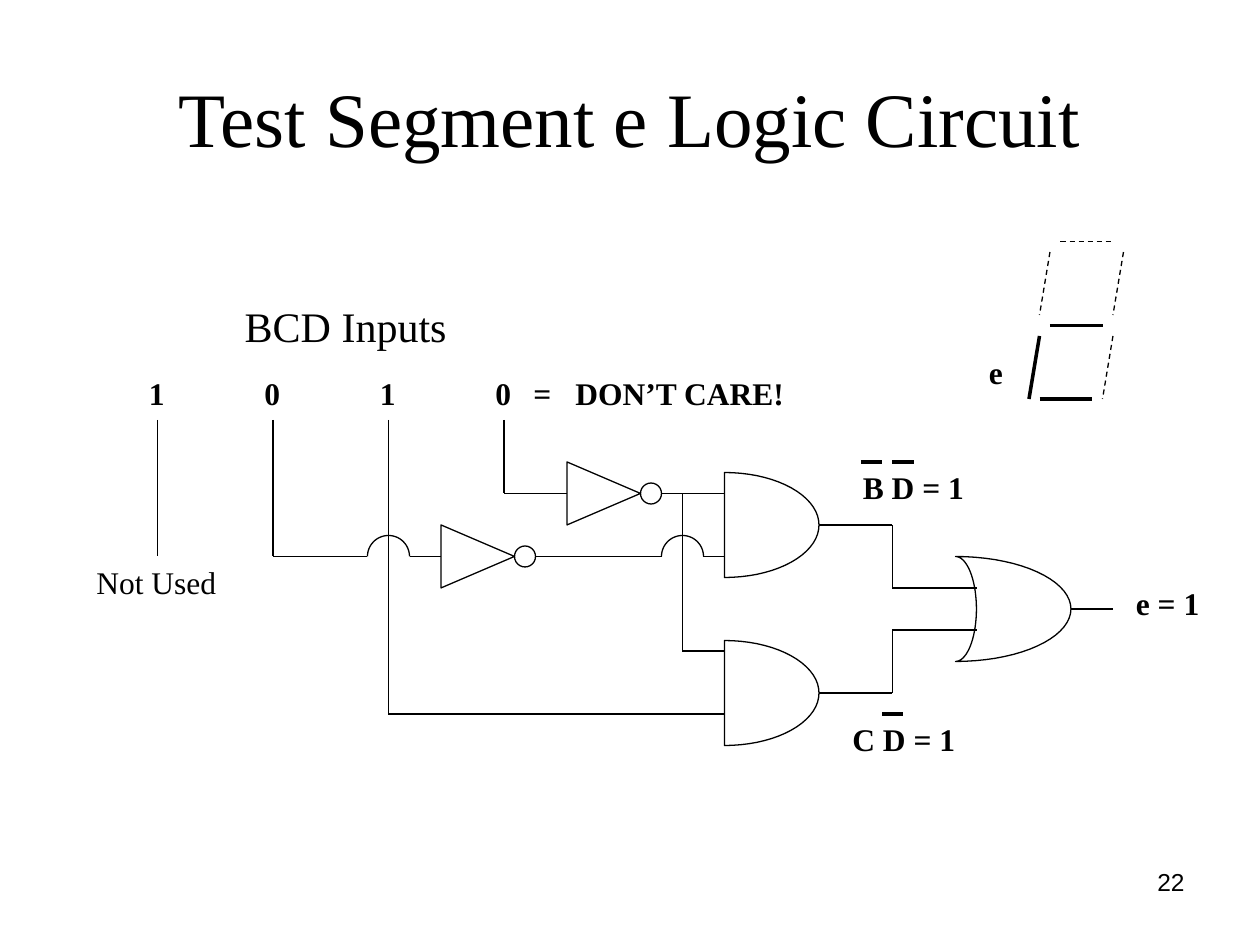
"""Build the slide that tests the logic circuit of segment e."""
import itertools
import math
from dataclasses import dataclass

import lxml.etree
import pptx
import pptx.dml.color
import pptx.enum.dml
import pptx.enum.shapes
import pptx.enum.text
import pptx.oxml.ns
import pptx.util

PX = 9525
WIDTH, HEIGHT = 960, 720


@dataclass(frozen=True)
class Theme:
    ink: pptx.dml.color.RGBColor = pptx.dml.color.RGBColor(0, 0, 0)
    serif: str = "Times New Roman"
    sans: str = "Arial"
    title: int = 44
    heading: int = 24
    label: int = 18
    number: int = 14
    thin: float = 0.75
    thick: float = 2


THEME = Theme()
ALIGN = pptx.enum.text.PP_ALIGN
SHAPE = pptx.enum.shapes.MSO_SHAPE

TITLE = ("Test Segment e Logic Circuit", (48, 29, 864, 120))
NUMBER = ("22", (688, 656, 224, 50))
HEADING = ("BCD Inputs", (177, 224, 173, 48))
NOTE = ("Not Used", (64, 424, 110, 38))
INPUTS = ["1", "0", "1", "0\t=\tDON’T CARE!"]
INPUT_X, INPUT_STEP, INPUT_TOP = 104, 88, 280
INPUT_WIDTHS = [36, 31, 31, 240]
INPUT_TABS = [29, 61]
LABELS = [
    ("e = 1", (856, 440, 67, 38)),
    ("C D = 1", (640, 544, 97, 38)),
    ("B D = 1", (648, 352, 96, 38)),
    ("e", (744, 264, 30, 38)),
]

WIRES = [
    [(120, 320), (120, 424)],
    [(208, 320), (208, 424), (280, 424)],
    [(312, 424), (336, 424)],
    [(408, 424), (504, 424)],
    [(536, 424), (552, 424)],
    [(296, 320), (296, 544), (552, 544)],
    [(384, 320), (384, 376), (432, 376)],
    [(504, 376), (552, 376)],
    [(520, 376), (520, 496), (552, 496)],
    [(624, 400), (680, 400), (680, 448), (744, 448)],
    [(624, 528), (680, 528), (680, 480), (744, 480)],
    [(816, 464), (848, 464)],
]
INVERTERS = [(432, 376), (336, 424)]
INVERTER_LENGTH, INVERTER_HEIGHT, BUBBLE = 56, 48, 16
HOPS, HOP_RADIUS = [(296, 424), (520, 424)], 16
AND_GATES = [(552, 400), (552, 528)]
OR_GATE = (728, 464)
GATE_RADIUS, AND_LENGTH, OR_LENGTH, OR_DEPTH = 40, 72, 88, 16

OVERBARS = [(656, 352), (680, 352), (672, 544)]
OVERBAR_LENGTH = 16
LIT = [
    [(792, 256), (784, 304)],
    [(792, 304), (832, 304)],
    [(800, 248), (840, 248)],
]
UNLIT = [
    [(808, 184), (848, 184)],
    [(856, 192), (848, 240)],
    [(848, 256), (840, 304)],
    [(800, 192), (792, 240)],
]


def px(*lengths):
    return [round(length * PX) for length in lengths]


def write(frame, text, *, size=THEME.label, font=THEME.serif, bold=False,
          align=ALIGN.LEFT, anchor=pptx.enum.text.MSO_ANCHOR.TOP, wrap=False, tabs=()):
    frame.word_wrap = wrap
    frame.auto_size = pptx.enum.text.MSO_AUTO_SIZE.NONE
    frame.vertical_anchor = anchor
    para = frame.paragraphs[0]
    para.alignment = align
    if tabs:
        name = pptx.oxml.ns.qn
        stops = lxml.etree.SubElement(para._p.get_or_add_pPr(), name("a:tabLst"))
        for stop in px(*tabs):
            lxml.etree.SubElement(stops, name("a:tab"), pos=str(stop), algn="l")
    span = para.add_run()
    span.text = text
    span.font.size = pptx.util.Pt(size)
    span.font.name = font
    span.font.bold = bold
    span.font.color.rgb = THEME.ink


def add_label(page, text, place, **style):
    write(page.shapes.add_textbox(*px(*place)).text_frame, text, **style)


def draw_lines(page, points, weight=THEME.thin, dash=None):
    for start, end in itertools.pairwise(points):
        line = page.shapes.add_connector(
            pptx.enum.shapes.MSO_CONNECTOR.STRAIGHT, *px(*start, *end))
        lxml.etree.SubElement(line._element.spPr, pptx.oxml.ns.qn("a:effectLst"))
        line.line.color.rgb = THEME.ink
        line.line.width = pptx.util.Pt(weight)
        if dash:
            line.line.dash_style = dash


def outline(shape):
    shape.shadow.inherit = False
    shape.fill.background()
    shape.line.color.rgb = THEME.ink
    shape.line.width = pptx.util.Pt(THEME.thin)


def arc(center, across, down, start, end, steps=36):
    angles = [math.radians(start + (end - start) * step / steps) for step in range(steps + 1)]
    return [(center[0] + across * math.cos(angle), center[1] + down * math.sin(angle))
            for angle in angles]


def draw_curve(page, points, close=True):
    first, *rest = [px(*point) for point in points]
    builder = page.shapes.build_freeform(*first)
    builder.add_line_segments(rest, close=close)
    outline(builder.convert_to_shape())


def draw_inverter(page, left, middle):
    box_left = left + (INVERTER_LENGTH - INVERTER_HEIGHT) / 2
    triangle = page.shapes.add_shape(SHAPE.ISOSCELES_TRIANGLE, *px(
        box_left, middle - INVERTER_LENGTH / 2, INVERTER_HEIGHT, INVERTER_LENGTH))
    triangle.rotation = 90
    bubble = page.shapes.add_shape(SHAPE.OVAL, *px(
        left + INVERTER_LENGTH, middle - BUBBLE / 2, BUBBLE, BUBBLE))
    outline(triangle)
    outline(bubble)


def draw_circuit(page):
    for wire in WIRES:
        draw_lines(page, wire)
    for inverter in INVERTERS:
        draw_inverter(page, *inverter)
    for hop in HOPS:
        draw_curve(page, arc(hop, HOP_RADIUS, HOP_RADIUS, 180, 360), close=False)
    for gate in AND_GATES:
        draw_curve(page, arc(gate, AND_LENGTH, GATE_RADIUS, -90, 90))
    draw_curve(page, arc(OR_GATE, OR_LENGTH, GATE_RADIUS, -90, 90)
               + arc(OR_GATE, OR_DEPTH, GATE_RADIUS, 90, -90)[1:-1])


def main():
    deck = pptx.Presentation()
    deck.slide_width, deck.slide_height = px(WIDTH, HEIGHT)
    page = deck.slides.add_slide(deck.slide_layouts[5])
    text, place = TITLE
    title = page.shapes.title
    title.left, title.top, title.width, title.height = px(*place)
    write(title.text_frame, text, size=THEME.title, align=ALIGN.CENTER,
          anchor=pptx.enum.text.MSO_ANCHOR.MIDDLE, wrap=True)

    add_label(page, *NUMBER, size=THEME.number, font=THEME.sans, align=ALIGN.RIGHT, wrap=True)
    add_label(page, *HEADING, size=THEME.heading)
    add_label(page, *NOTE)
    for index, (text, width) in enumerate(zip(INPUTS, INPUT_WIDTHS)):
        place = (INPUT_X + index * INPUT_STEP, INPUT_TOP, width, 38)
        add_label(page, text, place, bold=True, tabs=INPUT_TABS if "\t" in text else ())
    for label in LABELS:
        add_label(page, *label, bold=True)

    draw_circuit(page)
    for left, top in OVERBARS:
        draw_lines(page, [(left, top), (left + OVERBAR_LENGTH, top)], THEME.thick)
    for segment in LIT:
        draw_lines(page, segment, THEME.thick)
    for segment in UNLIT:
        draw_lines(page, segment, dash=pptx.enum.dml.MSO_LINE.DASH)
    deck.save("out.pptx")


if __name__ == "__main__":
    main()
